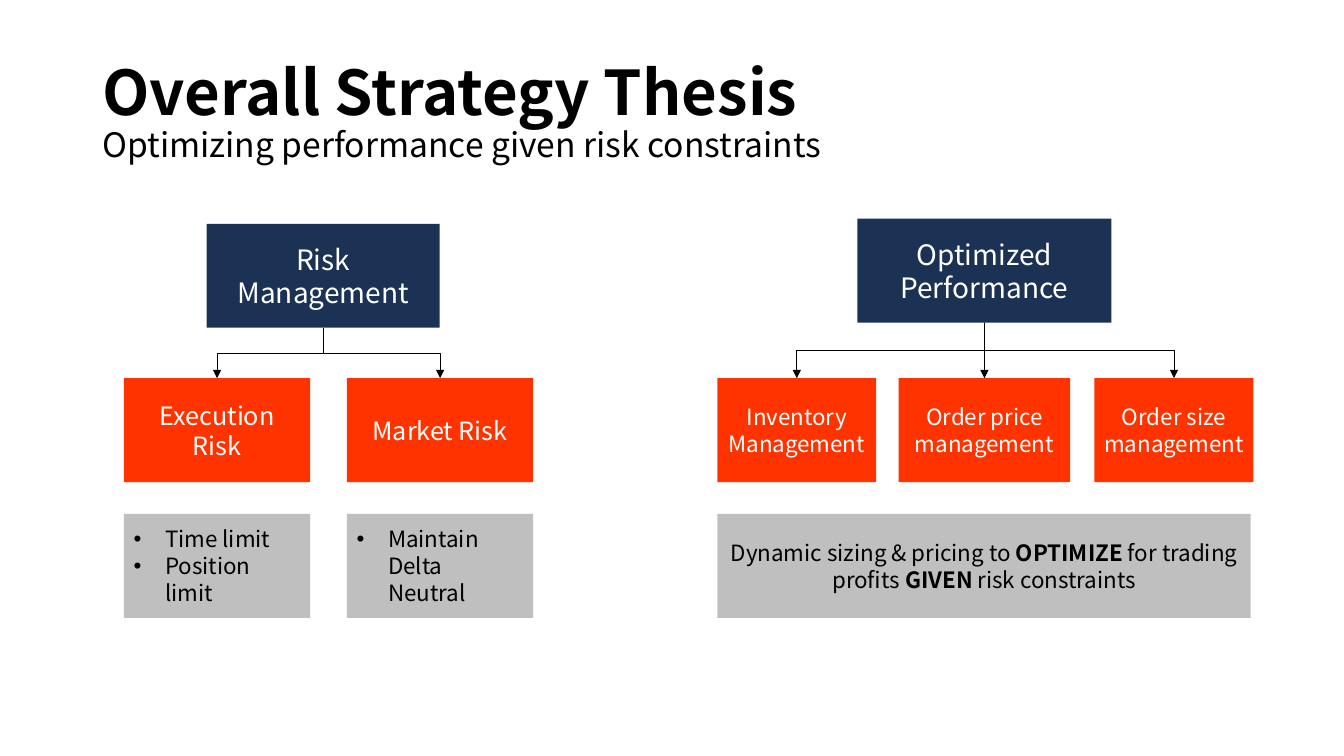
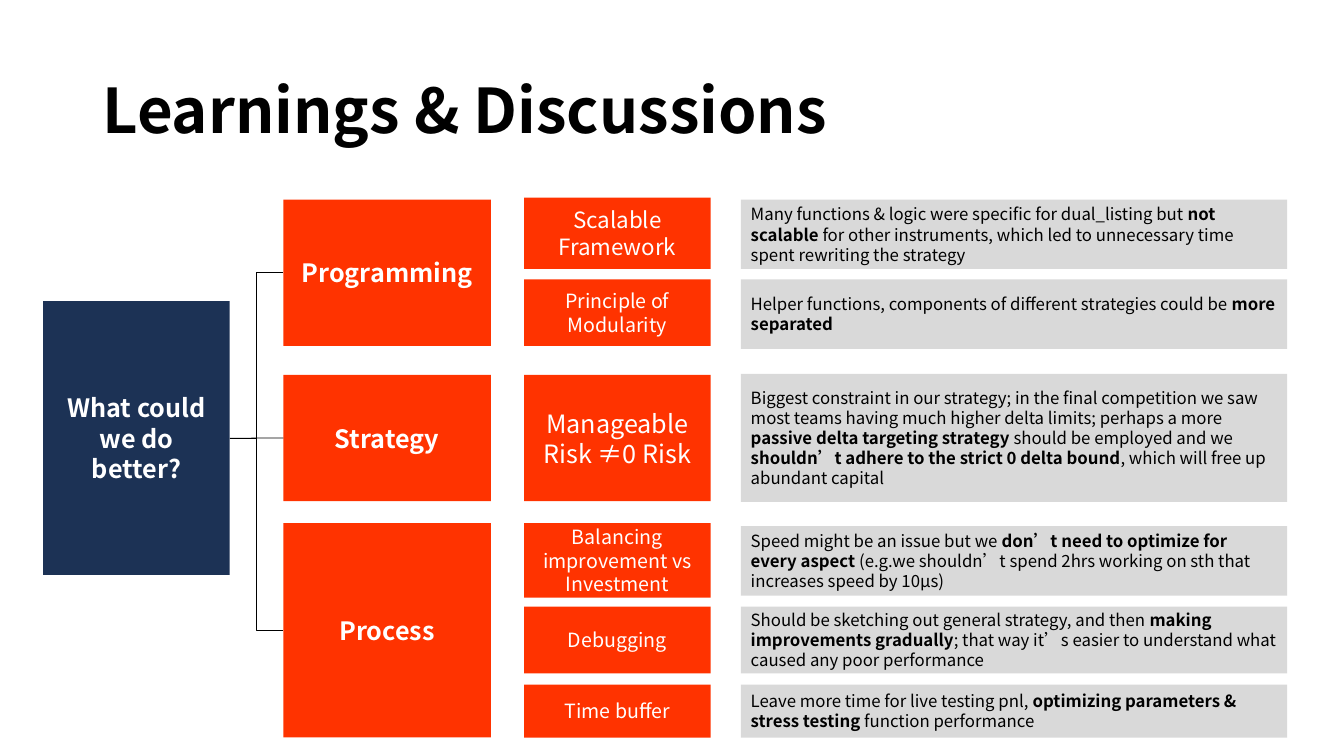
from lxml import etree
from pptx import Presentation
from pptx import util as u
from pptx.dml import color
from pptx.enum import shapes, text
from pptx.oxml import ns

FONT = "Noto Sans CJK SC"
NAVY, ORANGE, SILVER, PALE = "1C3255", "FF3300", "BFBFBF", "D9D9D9"
BLACK, WHITE = "000000", "FFFFFF"
TITLE_BOX = (2.33, 1.02, 29.21, 3.68)
BOX_HEIGHT = 2.62
CENTER, LEFT = text.PP_ALIGN.CENTER, text.PP_ALIGN.LEFT

RISK = {
    "root": (2.09, 5.87, "Risk Management"),
    "size": 18,
    "children": [(0, 4.7, "Execution Risk"), (5.62, 4.7, "Market Risk")],
    "notes": [
        (0, 4.7, ["Time limit", "Position limit"], True),
        (5.62, 4.7, ["Maintain Delta Neutral"], True),
    ],
}
PERFORMANCE = {
    "root": (3.53, 6.4, "Optimized Performance"),
    "size": 16,
    "children": [
        (0, 4, "Inventory Management"),
        (4.57, 4.32, "Order price management"),
        (9.5, 4.01, "Order size management"),
    ],
    "notes": [
        (0, 13.44, ["Dynamic sizing & pricing to **OPTIMIZE** for trading profits "
                    "**GIVEN** risk constraints"], False),
    ],
}
THEMES = [(0.05, 3.69, "Programming"), (4.47, 3.18, "Strategy"), (8.2, 5.4, "Process")]
TOPICS = [
    (0, 1.8, 16, "Scalable Framework"),
    (2.06, 1.68, 14, "Principle of Modularity"),
    (4.47, 3.18, 18, "Manageable Risk ≠0 Risk"),
    (8.2, 1.88, 14, "Balancing improvement vs Investment"),
    (10.31, 1.68, 14, "Debugging"),
    (12.27, 1.34, 14, "Time buffer"),
]
COMMENTS = [
    (0.05, 1.75, "Many functions & logic were specific for dual_listing but **not scalable **"
                 "for other instruments, which led to unnecessary time spent rewriting the strategy"),
    (2.06, 1.75, "Helper functions, components of different strategies could be **more separated**"),
    (4.44, 3.23, "Biggest constraint in our strategy; in the final competition we saw most teams "
                 "having much higher delta limits; perhaps a more **passive delta targeting strategy **"
                 "should be employed and we **shouldn’t adhere to the strict 0 delta bound**"
                 ", which will free up abundant capital"),
    (8.28, 1.75, "Speed might be an issue but we **don’t need to optimize for every aspect **"
                 "(e.g.we shouldn’t spend 2hrs working on sth that increases speed by 10μs)"),
    (10.31, 1.68, "Should be sketching out general strategy, and then **making improvements "
                  "gradually**; that way it’s easier to understand what caused any poor performance"),
    (12.27, 1.34, "Leave more time for live testing pnl, **optimizing parameters & stress testing**"
                  " function performance"),
]


def paint(color_format, value):
    """Set a colour from a hex string."""
    color_format.rgb = color.RGBColor.from_string(value)


def apply(target, values):
    """Set attributes from a dict of format values."""
    for name, value in values.items():
        setattr(target, name, value)


def add_run(paragraph, words, size, ink, bold=False):
    """Append one formatted run to a paragraph."""
    run = paragraph.add_run()
    run.text = words
    apply(run.font, {"name": FONT, "size": u.Pt(size), "bold": bold})
    paint(run.font.color, ink)
    etree.SubElement(run._r.get_or_add_rPr(), ns.qn("a:ea"), typeface=FONT)


def add_bullet(paragraph):
    """Give a paragraph a hanging bullet."""
    properties = paragraph._p.get_or_add_pPr()
    properties.set("marL", str(u.Cm(0.79)))
    properties.set("indent", str(-u.Cm(0.79)))
    etree.SubElement(properties, ns.qn("a:buFont"), typeface="Arial")
    etree.SubElement(properties, ns.qn("a:buChar"), char="•")


def add_title(slide, heading, subtitle=None):
    """Place the slide title and its optional second line."""
    frame = slide.shapes.add_textbox(*map(u.Cm, TITLE_BOX)).text_frame
    apply(frame, {"word_wrap": True, "vertical_anchor": text.MSO_ANCHOR.MIDDLE})
    paragraph = frame.paragraphs[0]
    paragraph.line_spacing = 0.9
    add_run(paragraph, heading, 44, BLACK, True)
    if subtitle:
        paragraph.add_line_break()
        add_run(paragraph, subtitle, 24, BLACK)


def add_box(slide, box, lines, fill, size, ink=WHITE, align=CENTER, bold=False, bullets=False):
    """Draw a filled rectangle whose text marks bold words with double stars."""
    shape = slide.shapes.add_shape(shapes.MSO_SHAPE.RECTANGLE, *map(u.Cm, box))
    shape.shadow.inherit = False
    shape.fill.solid()
    paint(shape.fill.fore_color, fill)
    shape.line.fill.background()
    frame = shape.text_frame
    apply(frame, {"word_wrap": True, "vertical_anchor": text.MSO_ANCHOR.MIDDLE})
    for index, line in enumerate(lines):
        paragraph = frame.add_paragraph() if index else frame.paragraphs[0]
        paragraph.alignment = align
        if bullets:
            add_bullet(paragraph)
        for position, words in enumerate(line.split("**")):
            if words:
                add_run(paragraph, words, size, ink, bold or position % 2 == 1)
    return shape


def link(slide, start, start_side, end, end_side, straight):
    """Join two boxes with a thin straight or elbow connector."""
    kind = shapes.MSO_CONNECTOR.STRAIGHT if straight else shapes.MSO_CONNECTOR.ELBOW
    connector = slide.shapes.add_connector(kind, 0, 0, 0, 0)
    connector.begin_connect(start, start_side)
    connector.end_connect(end, end_side)
    connector.line.width = u.Pt(0.5)
    connector.line.fill.solid()
    paint(connector.line.fill.fore_color, BLACK)
    etree.SubElement(connector.element.spPr, ns.qn("a:effectLst"))
    return connector


def link_down(slide, parent, child):
    """Draw an arrow from the bottom of a parent to the top of a child."""
    start_x, end_x = (shape.left + shape.width // 2 for shape in (parent, child))
    start_y, end_y = parent.top + parent.height, child.top
    across, drop = abs(end_x - start_x), end_y - start_y
    straight = across < u.Cm(0.02)
    connector = link(slide, parent, 2, child, 0, straight)
    properties = connector.element.spPr
    if not straight:
        apply(connector, {
            "left": (start_x + end_x - drop) // 2,
            "top": (start_y + end_y - across) // 2,
            "width": drop,
            "height": across,
        })
        rightward = end_x > start_x
        turn = {"rot": "16200000" if rightward else "5400000",
                "flipH": "1" if rightward else "0", "flipV": "0"}
        for name, value in turn.items():
            properties.find(ns.qn("a:xfrm")).set(name, value)
    etree.SubElement(properties.find(ns.qn("a:ln")), ns.qn("a:tailEnd"), type="triangle")


def add_tree(slide, box, tree):
    """Draw a root, its children and the notes below them inside a box."""
    left, top, _, height = box
    notes_top = top + height - BOX_HEIGHT
    children_top = notes_top - 3.42
    offset, width, label = tree["root"]
    root = add_box(slide, (left + offset, top, width, BOX_HEIGHT), [label], NAVY, 20)
    for offset, width, label in tree["children"]:
        child = add_box(slide, (left + offset, children_top, width, BOX_HEIGHT),
                        [label], ORANGE, tree["size"])
        link_down(slide, root, child)
    for offset, width, lines, bullets in tree["notes"]:
        add_box(slide, (left + offset, notes_top, width, BOX_HEIGHT), lines, SILVER, 16,
                BLACK, LEFT if bullets else CENTER, bullets=bullets)


def add_learnings(slide, box):
    """Draw the question, its themes, topics and comments inside a box."""
    left, top, width, _ = box
    question = add_box(slide, (left, top + 2.61, 4.7, 6.9), ["What could we do better?"],
                       NAVY, 18, bold=True)
    for index, (offset, height, label) in enumerate(THEMES):
        theme = add_box(slide, (left + 6.05, top + offset, 5.23, height), [label],
                        ORANGE, 18, bold=True)
        link(slide, question, 3, theme, 1, index == 1)
    for offset, height, size, label in TOPICS:
        add_box(slide, (left + 12.12, top + offset, 4.7, height), [label], ORANGE, size)
    for offset, height, comment in COMMENTS:
        add_box(slide, (left + 17.58, top + offset, width - 17.58, height), [comment],
                PALE, 12, BLACK, LEFT)


def main():
    """Build and save both slides."""
    presentation = Presentation()
    apply(presentation, {"slide_width": u.Cm(33.87), "slide_height": u.Cm(19.05)})
    blank = presentation.slide_layouts[6]

    thesis = presentation.slides.add_slide(blank)
    add_title(thesis, "Overall Strategy Thesis", "Optimizing performance given risk constraints")
    add_tree(thesis, (3.12, 5.64, 10.32, 9.93), RISK)
    add_tree(thesis, (18.08, 5.51, 13.51, 10.06), PERFORMANCE)

    learnings = presentation.slides.add_slide(blank)
    add_title(learnings, "Learnings & Discussions")
    add_learnings(learnings, (1.09, 4.98, 31.35, 13.62))

    presentation.save("out.pptx")


if __name__ == "__main__":
    main()
